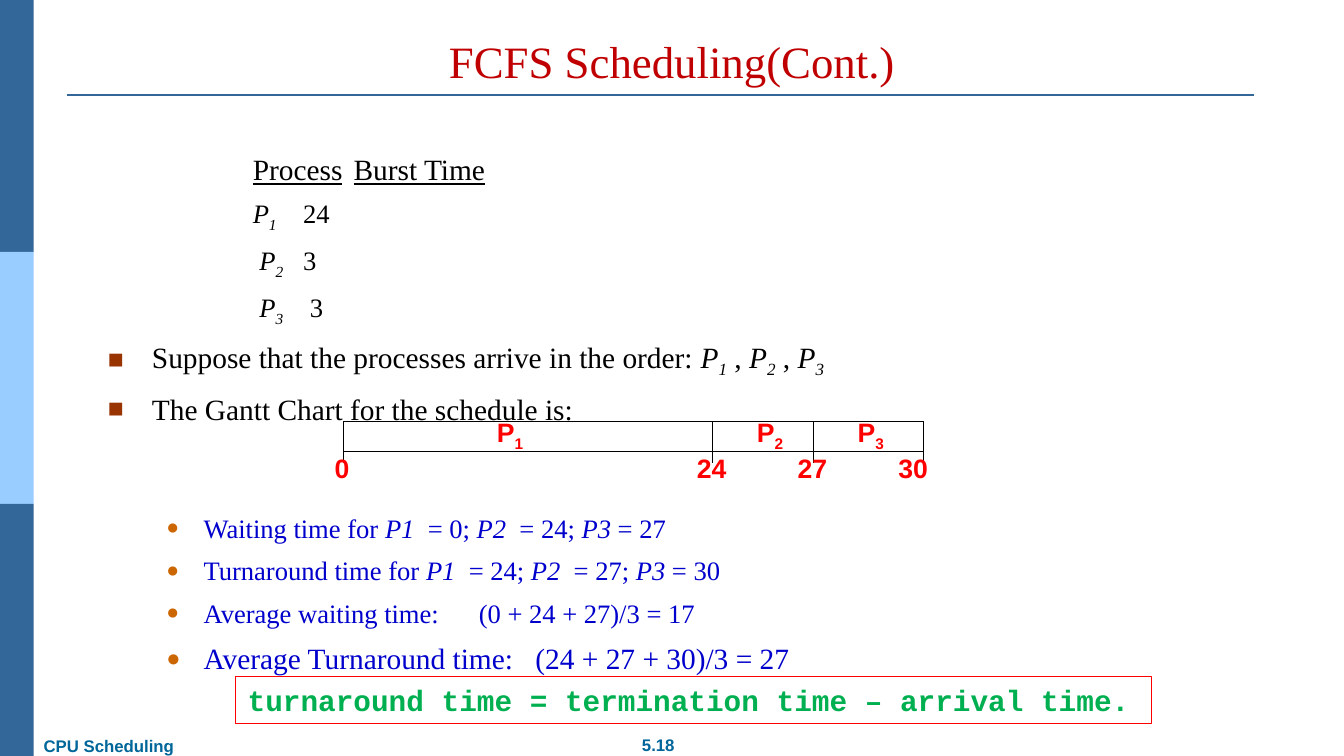
"""Build the slide on first-come, first-served CPU scheduling."""
from dataclasses import dataclass
from typing import Optional

from lxml.etree import SubElement
from pptx import Presentation
from pptx.dml.color import RGBColor
from pptx.enum.shapes import MSO_CONNECTOR, MSO_SHAPE
from pptx.enum.text import MSO_ANCHOR as ANCHOR, PP_ALIGN as ALIGN
from pptx.oxml.ns import qn
from pptx.util import Pt

BLACK = RGBColor(0, 0, 0)
WHITE = RGBColor(255, 255, 255)
RED = RGBColor(255, 0, 0)
TITLE_RED = RGBColor(0xC0, 0, 0)
DARK_BLUE = RGBColor(0x33, 0x66, 0x99)
LIGHT_BLUE = RGBColor(0x99, 0xCC, 0xFF)
FOOTER_BLUE = RGBColor(0, 0x66, 0x99)
RESULT_BLUE = RGBColor(0, 0, 0xCC)
GREEN = RGBColor(0, 0xB0, 0x50)
BROWN = RGBColor(0x99, 0x33, 0)
ORANGE = RGBColor(0xCC, 0x66, 0)
SERIF, SANS, MONO = "Times New Roman", "Arial", "Courier New"


@dataclass(frozen=True)
class Run:
    text: str
    italic: bool = False
    underline: bool = False
    subscript: bool = False
    spacing: float = 0


@dataclass(frozen=True)
class Bullet:
    char: str
    color: RGBColor
    percent: int


@dataclass(frozen=True)
class Line:
    runs: list[Run]
    size: float
    color: RGBColor = BLACK
    left: float = 31.5
    indent: float = -31.5
    level: int = 0
    bullet: Optional[Bullet] = None
    before: Optional[float] = None


@dataclass(frozen=True)
class Burst:
    number: str
    center: float


@dataclass(frozen=True)
class Moment:
    time: str
    center: float
    tick: float


SQUARE = Bullet("■", BROWN, 90)
DOT = Bullet("●", ORANGE, 80)


def process(number: str, italic: bool = True) -> list[Run]:
    return [Run("P", italic), Run(number, italic, subscript=True)]


def row(number: str, time: str, indent: float = 0) -> Line:
    return Line([*process(number), Run("\t" + time)], 19, left=103.5, indent=indent)


def result(runs: list[Run], size: float = 19, before: Optional[float] = None) -> Line:
    return Line(runs, size, RESULT_BLUE, 68.4, -26.6, 1, DOT, before)


def times(label: str, values: list[int]) -> list[Run]:
    runs = [Run(f"{label} for ")]
    for number, value in enumerate(values, 1):
        last = number == len(values)
        runs += [Run(f"P{number}", True), Run(" ", spacing=0 if last else 4.75),
                 Run(f"= {value}" + ("" if last else "; "))]
    return runs


def write(paragraph, runs: list[Run], *, size: float, color: RGBColor,
          font: str = SERIF, bold: bool = False, align: ALIGN = ALIGN.LEFT) -> None:
    paragraph.alignment = align
    for part in runs:
        run = paragraph.add_run()
        run.text = part.text
        run.font.name, run.font.size, run.font.bold = font, Pt(size), bold
        run.font.italic, run.font.underline = part.italic, part.underline
        run.font.color.rgb = color
        properties = run.font._element
        if part.subscript:
            properties.set("baseline", "-25000")
        if part.spacing:
            properties.set("spc", str(round(part.spacing * 100)))


def set_frame(frame, anchor: ANCHOR, wrap: bool, side: float = 8.64, edge: float = 4.32) -> None:
    frame.word_wrap, frame.vertical_anchor = wrap, anchor
    frame.margin_left = frame.margin_right = Pt(side)
    frame.margin_top = frame.margin_bottom = Pt(edge)


def place(shape, left: float, top: float, width: float, height: float) -> None:
    shape.left, shape.top, shape.width, shape.height = map(Pt, (left, top, width, height))


def add_rect(shapes, left: float, top: float, width: float, height: float,
             fill: Optional[RGBColor] = None, line: Optional[RGBColor] = None):
    rect = shapes.add_shape(MSO_SHAPE.RECTANGLE, *map(Pt, (left, top, width, height)))
    rect.shadow.inherit = False
    if fill is None:
        rect.fill.background()
    else:
        rect.fill.solid()
        rect.fill.fore_color.rgb = fill
    if line is None:
        rect.line.fill.background()
    else:
        rect.line.color.rgb, rect.line.width = line, Pt(0.75)
    return rect


def add_line(shapes, x1: float, y1: float, x2: float, y2: float,
             color: RGBColor = BLACK, width: float = 0.75) -> None:
    rule = shapes.add_connector(MSO_CONNECTOR.STRAIGHT, *map(Pt, (x1, y1, x2, y2)))
    rule.line.color.rgb, rule.line.width = color, Pt(width)
    SubElement(rule._element.spPr, qn("a:effectLst"))


def add_label(shapes, runs: list[Run], center: float, top: float, width: float, height: float,
              size: float, color: RGBColor, anchor: ANCHOR = ANCHOR.MIDDLE) -> None:
    label = shapes.add_textbox(*map(Pt, (center - width / 2, top, width, height)))
    set_frame(label.text_frame, anchor, False, 7.2, 3.6)
    write(label.text_frame.paragraphs[0], runs, size=size, color=color,
          font=SANS, bold=True, align=ALIGN.CENTER)


def fill_body(frame, lines: list[Line]) -> None:
    for number, line in enumerate(lines):
        paragraph = frame.add_paragraph() if number else frame.paragraphs[0]
        paragraph.level = line.level
        paragraph.space_before = Pt(line.before or line.size * 0.4)
        write(paragraph, line.runs, size=line.size, color=line.color)
        properties = paragraph._p.get_or_add_pPr()
        properties.set("marL", str(Pt(line.left)))
        properties.set("indent", str(Pt(line.indent)))
        if line.bullet is None:
            SubElement(properties, qn("a:buNone"))
            continue
        tint = SubElement(properties, qn("a:buClr"))
        SubElement(tint, qn("a:srgbClr"), val=str(line.bullet.color))
        SubElement(properties, qn("a:buSzPct"), val=str(line.bullet.percent * 1000))
        SubElement(properties, qn("a:buFont"), typeface=SANS)
        SubElement(properties, qn("a:buChar"), char=line.bullet.char)


def draw_gantt(shapes) -> None:
    top, bottom, tick_end = 301, 322.5, 330.5
    bursts = [Burst("1", 364.3), Burst("2", 550), Burst("3", 622)]
    moments = [Moment("0", 244.4, 245.5), Moment("24", 508.3, 509),
               Moment("27", 580.3, 581), Moment("30", 652.3, 659.5)]
    start, end = moments[0].tick, moments[-1].tick
    add_rect(shapes, start, top, end - start, bottom - top, WHITE, BLACK)
    for burst in bursts:
        add_label(shapes, process(burst.number, False), burst.center, 295.2, 34.6, 30.2, 19, RED)
    for moment in moments:
        add_line(shapes, moment.tick, top, moment.tick, tick_end)
        add_label(shapes, [Run(moment.time)], moment.center, 319, 36, 30.2, 19, RED)


def main() -> None:
    deck = Presentation()
    deck.slide_width, deck.slide_height = Pt(960), Pt(540)
    slide = deck.slides.add_slide(deck.slide_layouts[1])
    shapes = slide.shapes
    heading, body = slide.placeholders

    for band, color in enumerate((DARK_BLUE, LIGHT_BLUE, DARK_BLUE)):
        add_rect(shapes, 0, band * 180, 24, 180, color)
    add_line(shapes, 48, 67.7, 895.7, 67.7, DARK_BLUE, 1.5)
    add_label(shapes, [Run("5.18")], 470.2, 521.3, 41.8, 23, 12, FOOTER_BLUE, ANCHOR.TOP)
    add_label(shapes, [Run("CPU Scheduling")], 77.8, 522, 112, 23, 12, FOOTER_BLUE, ANCHOR.TOP)

    place(heading, 48, 21.6, 864, 45.4)
    set_frame(heading.text_frame, ANCHOR.BOTTOM, True)
    write(heading.text_frame.paragraphs[0], [Run("FCFS Scheduling(Cont.)")],
          size=32, color=TITLE_RED, align=ALIGN.CENTER)

    place(body, 68.4, 103.7, 854.6, 356.4)
    set_frame(body.text_frame, ANCHOR.TOP, True)
    order = [Run("Suppose that the processes arrive in the order: "), *process("1"),
             Run(" , "), *process("2"), Run(" , "), *process("3")]
    fill_body(body.text_frame, [
        Line([Run("Process", underline=True), Run("\t"), Run("Burst Time", underline=True)],
             21, left=103.5, indent=0),
        row("1", "24"), row("2", "3", 4.75), row("3", " 3", 4.75),
        Line(order, 21, bullet=SQUARE),
        Line([Run("The Gantt Chart for the schedule is:")], 21, bullet=SQUARE),
        result(times("Waiting time", [0, 24, 27]), before=61),
        result(times("Turnaround time", [24, 27, 30])),
        result([Run("Average waiting time:"), Run(" ", spacing=23.75),
                Run("(0 + 24 + 27)/3 = 17")]),
        result([Run("Average Turnaround time:"), Run(" ", spacing=10.5),
                Run("(24 + 27 + 30)/3 = 27")], 21),
    ])

    draw_gantt(shapes)
    formula = add_rect(shapes, 168.3, 483.1, 654.5, 33.8, line=RED)
    set_frame(formula.text_frame, ANCHOR.TOP, False)
    write(formula.text_frame.paragraphs[0],
          [Run("turnaround time = termination time – arrival time.")],
          size=21, color=GREEN, font=MONO, bold=True)
    deck.save("out.pptx")


if __name__ == "__main__":
    main()
